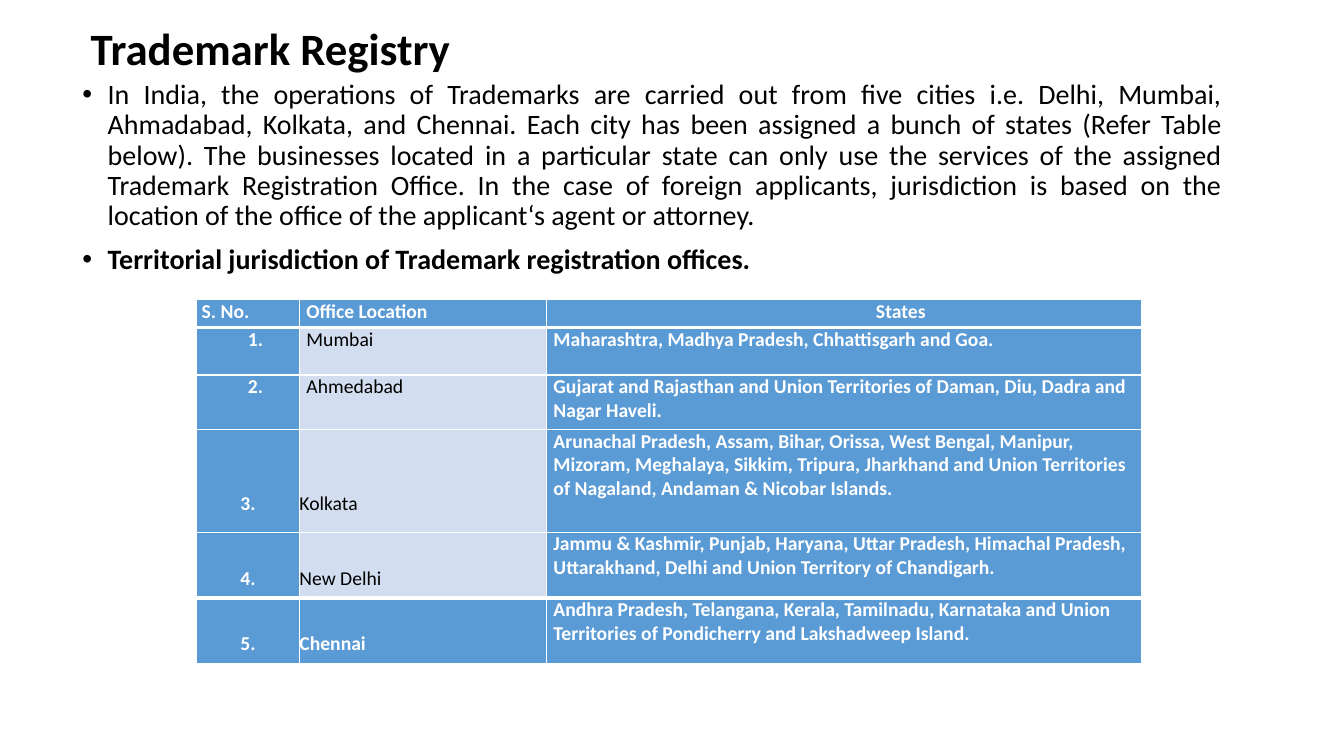
from lxml.etree import SubElement
from pptx import Presentation
from pptx.dml.color import RGBColor
from pptx.enum.text import MSO_ANCHOR as ANCHOR, PP_ALIGN as ALIGN
from pptx.oxml.ns import qn
from pptx.util import Inches, Pt

FONT = "Calibri"
BLACK, WHITE, BLUE, PALE = "000000", "FFFFFF", "5B9BD5", "D2DEEF"

INTRO = (
    "In India, the operations of Trademarks are carried out from five cities i.e. Delhi, Mumbai, "
    "Ahmadabad, Kolkata, and Chennai. Each city has been assigned a bunch of states (Refer Table "
    "below). The businesses located in a particular state can only use the services of the assigned "
    "Trademark Registration Office. In the case of foreign applicants, jurisdiction is based on the "
    "location of the office of the applicant‘s agent or attorney."
)
HEADERS = [("S. No.", 0.05, ALIGN.LEFT), ("Office Location", 0.07, ALIGN.LEFT),
           ("States", 1.13, ALIGN.CENTER)]
OFFICES = [
    ("Mumbai", "Maharashtra, Madhya Pradesh, Chhattisgarh and Goa.", 0.15, 0.07, 0),
    ("Ahmedabad", "Gujarat and Rajasthan and Union Territories of Daman, Diu, Dadra and "
     "Nagar Haveli.", 0.15, 0.07, 0),
    ("Kolkata", "Arunachal Pradesh, Assam, Bihar, Orissa, West Bengal, Manipur, Mizoram, "
     "Meghalaya, Sikkim, Tripura, Jharkhand and Union Territories of Nagaland, "
     "Andaman & Nicobar Islands.", 0, 0, 0.62),
    ("New Delhi", "Jammu & Kashmir, Punjab, Haryana, Uttar Pradesh, Himachal Pradesh, "
     "Uttarakhand, Delhi and Union Territory of Chandigarh.", 0, 0, 0.34),
    ("Chennai", "Andhra Pradesh, Telangana, Kerala, Tamilnadu, Karnataka and Union "
     "Territories of Pondicherry and Lakshadweep Island.", 0, 0, 0.34),
]
COL_WIDTHS = [1.02, 2.45, 5.9]
ROW_HEIGHTS = [0.28, 0.47, 0.54, 1.02, 0.65, 0.65]
THICK_RULES = {1, 5}


def rgb(color):
    return RGBColor.from_string(color)


def add_run(p, text, size, color=BLACK, bold=False):
    r = p.add_run()
    r.text = text
    r.font.name = FONT
    r.font.size = Pt(size)
    r.font.bold = bold
    r.font.color.rgb = rgb(color)


def set_title(slide, text):
    title = slide.shapes.title
    title.left, title.top = Inches(0.8), Inches(0.26)
    title.width, title.height = Inches(11.5), Inches(0.49)
    tf = title.text_frame
    tf.word_wrap = True
    tf.vertical_anchor = ANCHOR.MIDDLE
    p = tf.paragraphs[0]
    p.alignment = ALIGN.LEFT
    p.line_spacing = 0.9
    add_run(p, text, 32, bold=True)


def set_bullet(p):
    pPr = p._p.get_or_add_pPr()
    pPr.set("marL", str(Inches(0.25)))
    pPr.set("indent", str(-Inches(0.25)))
    SubElement(pPr, qn("a:buFont"), typeface="Arial")
    SubElement(pPr, qn("a:buChar"), char="•")


def add_bullets(slide, items):
    sp = slide.shapes.add_textbox(Inches(0.72), Inches(0.75), Inches(11.5), Inches(4.76))
    tf = sp.text_frame
    tf.word_wrap = True
    for i, (text, bold) in enumerate(items):
        p = tf.add_paragraph() if i else tf.paragraphs[0]
        p.alignment = ALIGN.JUSTIFY
        p.line_spacing = 0.9
        p.space_before = Pt(10)
        set_bullet(p)
        add_run(p, text, 20, bold=bold)


def set_borders(cell, top, bottom):
    tcPr = cell._tc.get_or_add_tcPr()
    for i, (side, width) in enumerate([("L", 1), ("R", 1), ("T", top), ("B", bottom)]):
        ln = tcPr.makeelement(qn(f"a:ln{side}"), {"w": str(Pt(width))})
        fill = SubElement(ln, qn("a:solidFill"))
        SubElement(fill, qn("a:srgbClr"), val=WHITE)
        tcPr.insert(i, ln)


def fill_cell(cell, text, left=0, top=0, align=ALIGN.LEFT, pale=False):
    cell.margin_left, cell.margin_top = Inches(left), Inches(top)
    cell.margin_right = cell.margin_bottom = 0
    cell.fill.solid()
    cell.fill.fore_color.rgb = rgb(PALE if pale else BLUE)
    p = cell.text_frame.paragraphs[0]
    p.alignment = align
    add_run(p, text, 14, BLACK if pale else WHITE, not pale)


def add_office_table(slide):
    table = slide.shapes.add_table(
        len(ROW_HEIGHTS), len(COL_WIDTHS), Inches(1.95), Inches(2.97),
        Inches(sum(COL_WIDTHS)), Inches(sum(ROW_HEIGHTS))).table
    for col, width in zip(table.columns, COL_WIDTHS):
        col.width = Inches(width)
    for row, height in zip(table.rows, ROW_HEIGHTS):
        row.height = Inches(height)

    for c, (text, left, align) in enumerate(HEADERS):
        fill_cell(table.cell(0, c), text, left, align=align)
    for n, (city, states, number_left, city_left, top) in enumerate(OFFICES, 1):
        fill_cell(table.cell(n, 0), f"{n}.", number_left, top, ALIGN.CENTER)
        fill_cell(table.cell(n, 1), city, city_left, top, pale=n < len(OFFICES))
        fill_cell(table.cell(n, 2), states, 0.07)

    for n, row in enumerate(table.rows):
        top, bottom = (3 if rule in THICK_RULES else 1 for rule in (n, n + 1))
        for cell in row.cells:
            set_borders(cell, top, bottom)


def main():
    prs = Presentation()
    prs.slide_width, prs.slide_height = Inches(13.33), Inches(7.5)
    slide = prs.slides.add_slide(prs.slide_layouts[5])
    set_title(slide, "Trademark Registry")
    add_bullets(slide, [
        (INTRO, False),
        ("Territorial jurisdiction of Trademark registration offices.", True),
    ])
    add_office_table(slide)
    prs.save("out.pptx")


if __name__ == "__main__":
    main()
